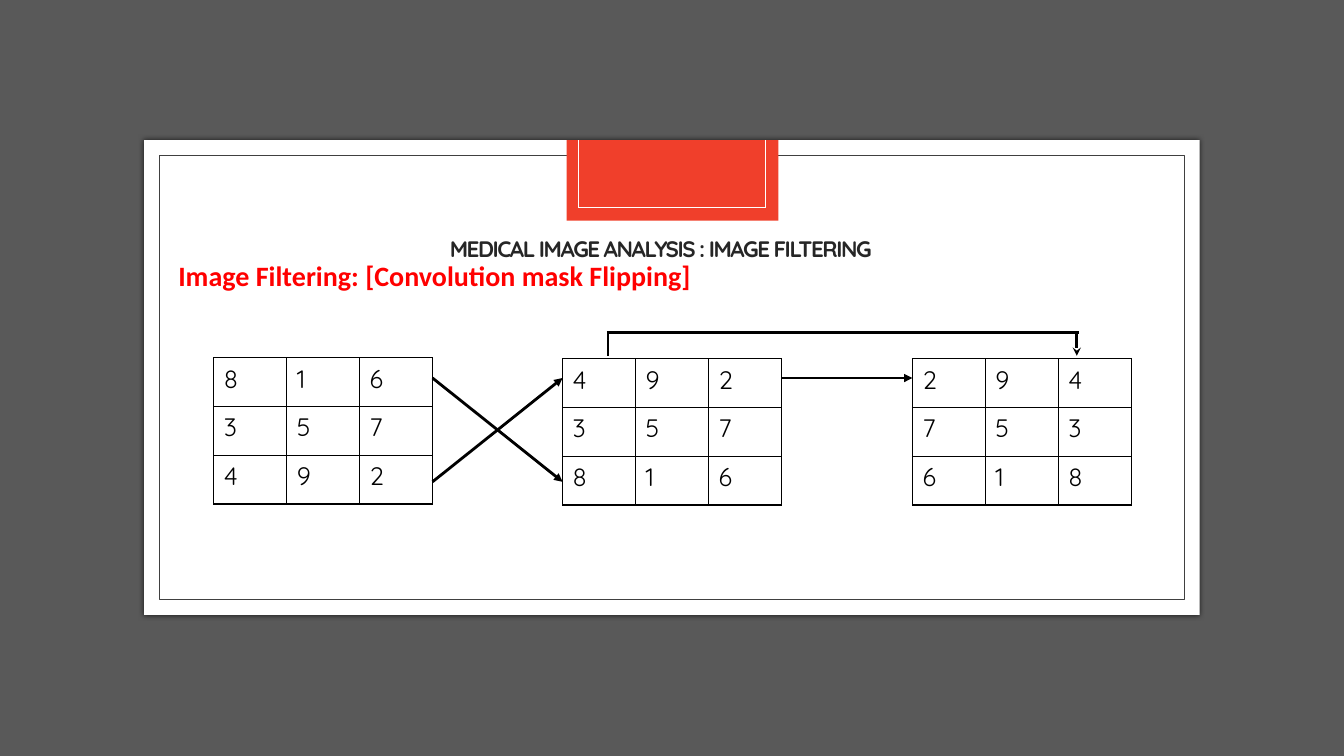
"""Build the slide on flipping a convolution mask."""
import dataclasses

import lxml.etree
import pptx
import pptx.dml.color
import pptx.enum.shapes
import pptx.enum.text
import pptx.oxml.ns
import pptx.util

Inches = pptx.util.Inches
Pt = pptx.util.Pt
qn = pptx.oxml.ns.qn


@dataclasses.dataclass(frozen=True)
class Theme:
    """Colours, fonts and sizes in points."""
    back: str = "595959"
    paper: str = "FFFFFF"
    frame: str = "404040"
    accent: str = "F03F2B"
    title: str = "262626"
    head: str = "FF0000"
    ink: str = "000000"
    main: str = "Quicksand"
    alt: str = "Calibri"
    title_size: float = 16
    head_size: float = 20
    cell_size: float = 18
    thin: float = 0.5
    rule: float = 1
    thick: float = 2


def color(code):
    """Turn a hex code into a colour."""
    return pptx.dml.color.RGBColor.from_string(code)


def add(parent, tag, **attrs):
    """Append an XML child with attributes."""
    return lxml.etree.SubElement(parent, qn(tag), attrs)


class Deck:
    """Hold the theme and the current slide."""

    def __init__(self, theme):
        """Open a title-only slide."""
        self.theme = theme
        self.prs = pptx.Presentation()
        self.prs.slide_width = Inches(13.33)
        self.prs.slide_height = Inches(7.5)
        self.slide = self.prs.slides.add_slide(self.prs.slide_layouts[5])
        self.shapes = self.slide.shapes

    def rect(self, box, fill=None, line=None, glow=False):
        """Draw a rectangle, with a soft shadow if asked."""
        kind = pptx.enum.shapes.MSO_SHAPE.RECTANGLE
        shape = self.shapes.add_shape(kind, *map(Inches, box))
        shape.shadow.inherit = False
        if fill:
            shape.fill.solid()
            shape.fill.fore_color.rgb = color(fill)
        else:
            shape.fill.background()
        if line:
            shape.line.color.rgb = color(line)
            shape.line.width = Pt(self.theme.thin)
        else:
            shape.line.fill.background()
        if glow:
            effect = shape.element.spPr.find(qn("a:effectLst"))
            blur = add(effect, "a:outerShdw", blurRad=str(Pt(4)), dist="0", dir="0")
            add(add(blur, "a:srgbClr", val=self.theme.ink), "a:alpha", val="66000")

    def line(self, start, end, code, width, tip=None):
        """Draw a straight line with an optional arrowhead."""
        kind = pptx.enum.shapes.MSO_CONNECTOR.STRAIGHT
        line = self.shapes.add_connector(kind, *map(Inches, start + end))
        line.line.color.rgb = color(code)
        line.line.width = Pt(width)
        props = line.element.spPr
        if tip:
            add(props.find(qn("a:ln")), "a:tailEnd", type=tip)
        add(props, "a:effectLst")

    def style(self, para, face, size, code, bold=False):
        """Set the font of a paragraph."""
        font = para.font
        font.name, font.size, font.bold = face, Pt(size), bold
        font.color.rgb = color(code)

    def title(self, box, text):
        """Place the title above the frame."""
        shape = self.shapes.title
        shape.element.getparent().append(shape.element)
        shape.left, shape.top, shape.width, shape.height = map(Inches, box)
        frame = shape.text_frame
        frame.text = text
        frame.word_wrap = True
        frame.auto_size = pptx.enum.text.MSO_AUTO_SIZE.NONE
        frame.vertical_anchor = pptx.enum.text.MSO_ANCHOR.MIDDLE
        para = frame.paragraphs[0]
        para.alignment = pptx.enum.text.PP_ALIGN.CENTER
        para.line_spacing = 0.83
        look = self.theme
        self.style(para, look.main, look.title_size, look.title, True)
        para.font._element.set("spc", "-100")

    def head(self, box, text):
        """Write the heading in a text box."""
        frame = self.shapes.add_textbox(*map(Inches, box)).text_frame
        frame.word_wrap = True
        frame.auto_size = pptx.enum.text.MSO_AUTO_SIZE.SHAPE_TO_FIT_TEXT
        frame.text = text
        para = frame.paragraphs[0]
        para.line_spacing = 1.07
        look = self.theme
        self.style(para, look.alt, look.head_size, look.head, True)

    def grid(self, box, rows):
        """Draw a ruled table of numbers."""
        look = self.theme
        size = len(rows), len(rows[0])
        table = self.shapes.add_table(*size, *map(Inches, box)).table
        table.first_row = table.horz_banding = False
        for r, row in enumerate(rows):
            for c, value in enumerate(row):
                cell = table.cell(r, c)
                cell.text = str(value)
                para = cell.text_frame.paragraphs[0]
                self.style(para, look.main, look.cell_size, look.ink)
                props = cell._tc.get_or_add_tcPr()
                for side in "LRTB":
                    edge = add(props, f"a:ln{side}", w=str(Pt(look.rule)))
                    add(add(edge, "a:solidFill"), "a:srgbClr", val=look.ink)
                cell.fill.background()


look = Theme()
deck = Deck(look)

deck.rect((0, 0, 13.33, 7.5), look.back)
deck.rect((1.43, 1.39, 10.47, 4.71), look.paper, glow=True)
deck.rect((1.58, 1.54, 10.17, 4.41), line=look.frame)
deck.rect((5.62, 1.39, 2.1, 0.8), look.accent)
left, right, top, base = 5.74, 7.59, 1.39, 2.06
for start, end in (
    ((left, top), (left, base)),
    ((right, top), (right, base)),
    ((left, base), (right, base)),
):
    deck.line(start, end, look.paper, look.thin)

deck.title((1.67, 2.24, 9.77, 0.5), "MEDICAL IMAGE ANALYSIS : IMAGE FILTERING")
deck.head((1.67, 2.49, 6.67, 0.46), "Image Filtering: [Convolution mask Flipping]")

mask = [[8, 1, 6], [3, 5, 7], [4, 9, 2]]
upside = mask[::-1]
mirror = [row[::-1] for row in upside]
width, height = 2.17, 1.45
spots = (2.12, 3.55), (5.58, 3.56), (9.05, 3.56)
for spot, rows in zip(spots, (mask, upside, mirror)):
    deck.grid((*spot, width, height), rows)

first, second, third = (spot[0] for spot in spots)
high, low = 3.75, 4.78
bar, foot = 3.3, 3.53
for start, end, tip in (
    ((first + width, low), (second, high), "triangle"),
    ((first + width, high), (second, low), "triangle"),
    ((second + width, high), (third, high), "triangle"),
    ((6.02, bar), (10.7, bar), None),
    ((6.03, bar), (6.03, foot), None),
    ((10.68, bar), (10.68, foot), "stealth"),
):
    deck.line(start, end, look.ink, look.thick, tip)

deck.prs.save("out.pptx")
